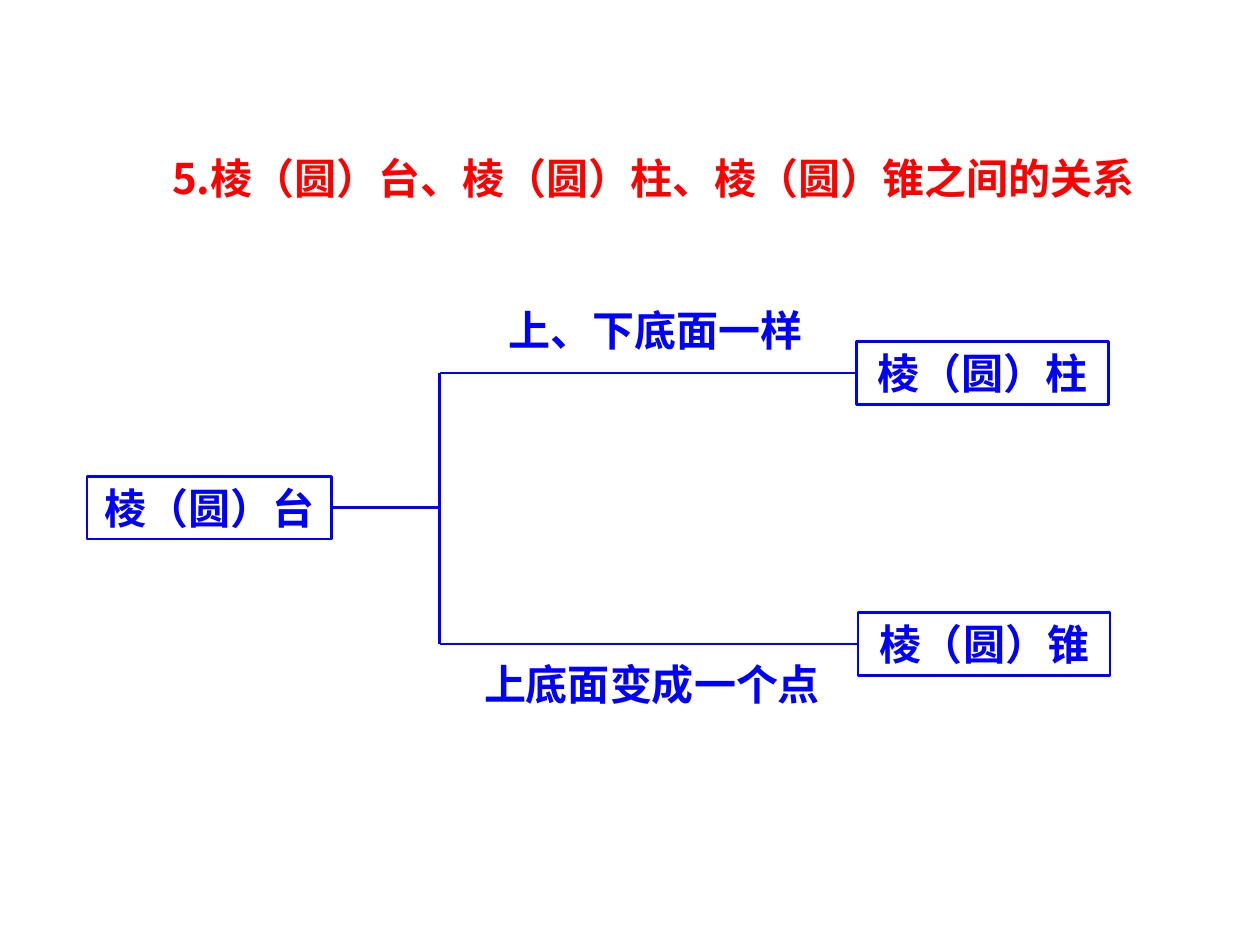
from lxml import etree
from pptx import Presentation, util as u
from pptx.dml.color import RGBColor
from pptx.enum import shapes, text
from pptx.enum.lang import MSO_LANGUAGE_ID
from pptx.oxml.ns import qn

BLUE = RGBColor(0x00, 0x00, 0xFF)
RED = RGBColor(0xFF, 0x00, 0x00)
LATIN, CJK = "Arial", "Noto Sans CJK SC"

# Content: text, left, top, width
TITLE = ("5.棱（圆）台、棱（圆）柱、棱（圆）锥之间的关系", 0.88, 1.16, 8.61)
ROOT = ("棱（圆）台", 0.69, 3.78, 1.94)
BRANCHES = [
    (("棱（圆）柱", 6.8, 2.71, 2), ("上、下底面一样", 3.46, 2.37, 3.48)),
    (("棱（圆）锥", 6.81, 4.86, 2), ("上底面变成一个点", 3.46, 5.18, 3.43)),
]
ROW_H = 0.5
TRUNK_X = 3.49


def write(sp, words, color, font):
    tf = sp.text_frame
    tf.word_wrap = True
    tf.auto_size = text.MSO_AUTO_SIZE.NONE
    tf.vertical_anchor = text.MSO_ANCHOR.MIDDLE
    p = tf.paragraphs[0]
    p.alignment = text.PP_ALIGN.CENTER
    r = p.add_run()
    r.text = words
    r.font.language_id = MSO_LANGUAGE_ID.SIMPLIFIED_CHINESE
    etree.SubElement(r._r.get_or_add_rPr(), qn("a:ea")).set("typeface", CJK)
    p.font.name, p.font.size, p.font.bold = font, u.Pt(24), True
    p.font.color.rgb = color


def area(left, top, width):
    return [u.Inches(n) for n in (left, top, width, ROW_H)]


def add_label(s, words, *place):
    write(s.shapes.add_textbox(*area(*place)), words, BLUE, LATIN)


def add_box(s, words, *place):
    sp = s.shapes.add_shape(shapes.MSO_SHAPE.RECTANGLE, *area(*place))
    sp.shadow.inherit = False
    sp.fill.background()
    sp.line.color.rgb, sp.line.width = BLUE, u.Pt(1.5)
    write(sp, words, BLUE, LATIN)
    return sp


def add_line(s, x1, y1, x2, y2):
    line = s.shapes.add_connector(shapes.MSO_CONNECTOR.STRAIGHT, x1, y1, x2, y2)
    line.line.color.rgb, line.line.width = BLUE, u.Pt(1.5)
    etree.SubElement(line._element.spPr, qn("a:effectLst"))
    return line


def middle(sp):
    return sp.top + sp.height // 2


prs = Presentation()
prs.slide_width, prs.slide_height = u.Inches(10), u.Inches(7.5)
s = prs.slides.add_slide(prs.slide_layouts[5])

# Title
title = s.shapes.title
title.left, title.top, title.width, title.height = area(*TITLE[1:])
write(title, TITLE[0], RED, CJK)

# Root box and its line to the trunk
trunk_x = u.Inches(TRUNK_X)
root = add_box(s, *ROOT)
y = middle(root)
add_line(s, root.left + root.width, y, trunk_x, y).begin_connect(root, 3)

# Branches with their labels
levels = []
for box, label in BRANCHES:
    leaf = add_box(s, *box)
    y = middle(leaf)
    add_line(s, trunk_x, y, leaf.left, y).end_connect(leaf, 1)
    add_label(s, *label)
    levels.append(y)

# Trunk
add_line(s, trunk_x, levels[0], trunk_x, levels[-1])

prs.save("out.pptx")
